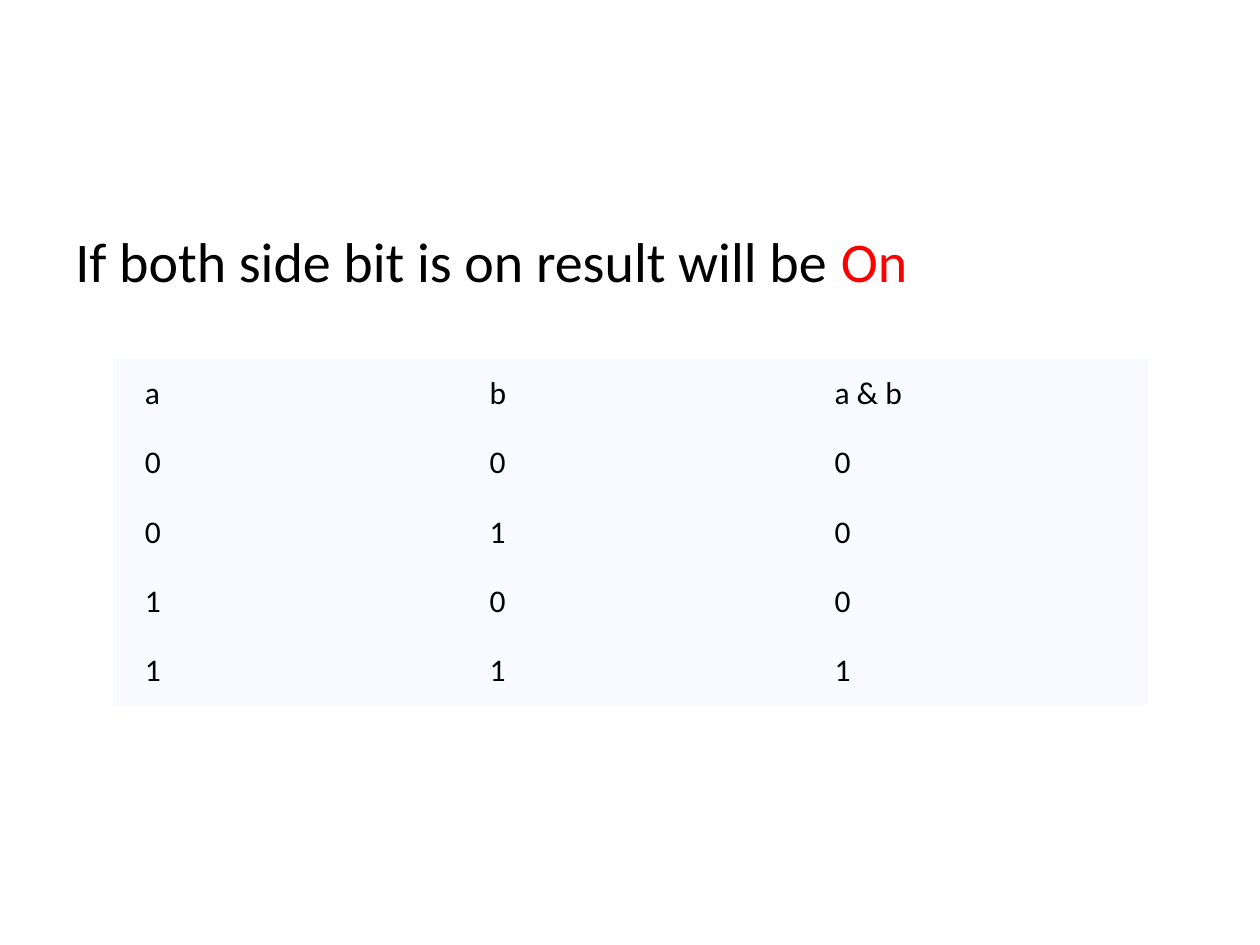
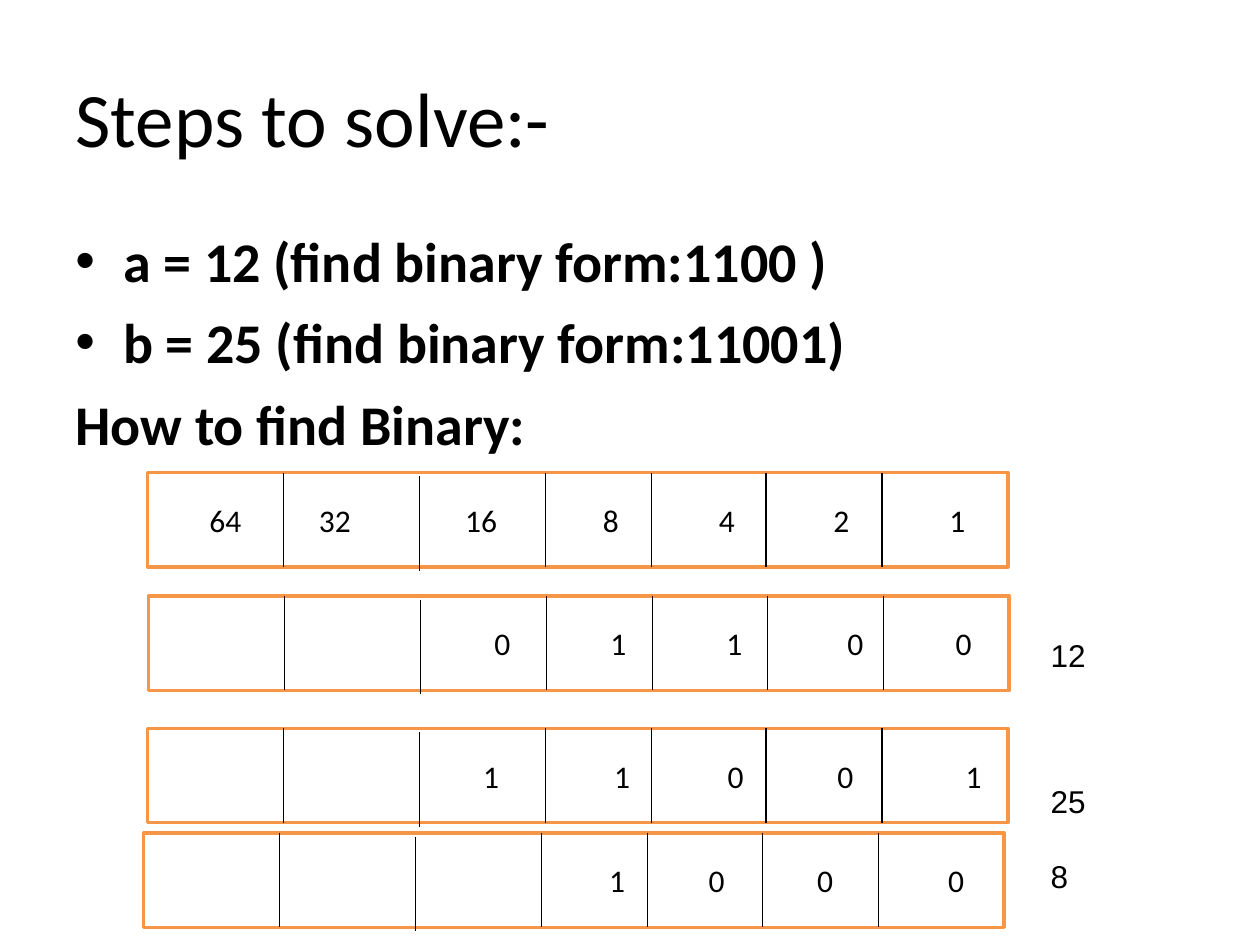
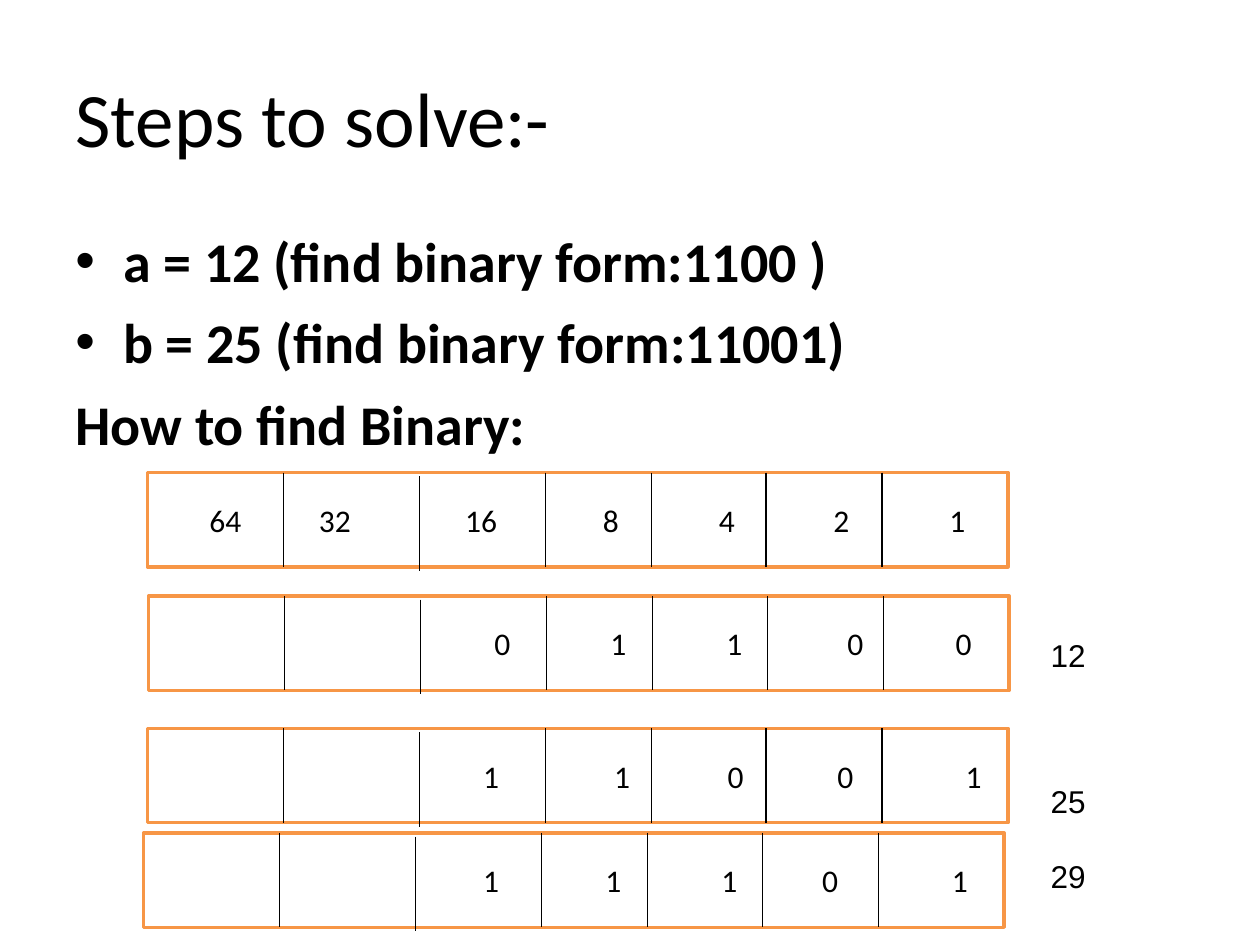
from lxml.etree import SubElement
from pptx import Presentation
from pptx.dml.color import RGBColor
from pptx.enum.shapes import MSO_CONNECTOR, MSO_SHAPE
from pptx.enum.text import MSO_ANCHOR, PP_ALIGN
from pptx.oxml.ns import qn
from pptx.util import Inches, Pt

BLACK, WHITE, RED = "000000", "FFFFFF", "FF0000"
ORANGE, PALE = "F79646", "F8FAFF"
PLAIN_GRID = "{2D5ABB26-0587-4C30-8999-92F81FD0307C}"
TRUTH = ["a", "b", "a & b"], "000", "010", "100", "111"
WIDTH, HEIGHT, INSET = 6.83, 0.75, 0.1
CUTS = [(1.08, 0), (2.16, 0.03), (3.16, 0), (4, 0), (4.91, 0), (5.83, 0)]

WEIGHTS = [("64", 1.79), ("32", 2.66), ("16", 3.82), ("8", 4.85),
           ("4", 5.77), ("2", 6.68), ("1", 7.6)]
TWELVE = [("0", 3.99), ("1", 4.91), ("1", 5.83), ("0", 6.79), ("0", 7.65)]
TWENTY_FIVE = [("1", 3.9), ("1", 4.94), ("0", 5.84), ("0", 6.71), ("1", 7.73)]
AND_BITS = [("1", 4.9), ("0", 5.69), ("0", 6.55), ("0", 7.59)]
OR_BITS = [("1", 3.9), ("1", 4.87), ("1", 5.79), ("0", 6.59), ("1", 7.62)]


def paint(fmt, color):
    """Give a fill or font colour from a hex string."""
    fmt.rgb = RGBColor.from_string(color)


def write(para, text, size=18, font="Calibri", color=BLACK, bold=False,
          before=0, align=PP_ALIGN.LEFT):
    """Add a formatted run to a paragraph."""
    para.alignment = align
    para.space_before = Pt(before)
    run = para.add_run()
    run.text = text
    run.font.size, run.font.name, run.font.bold = Pt(size), font, bold
    paint(run.font.color, color)


def add_box(slide, left, top, width, height, wrap=True):
    """Add a text box and return its frame."""
    box = slide.shapes.add_textbox(*map(Inches, (left, top, width, height)))
    box.text_frame.word_wrap = wrap
    return box.text_frame


def add_bullet(para):
    """Give a paragraph a hanging round bullet."""
    props = para._p.get_or_add_pPr()
    props.set("marL", str(Inches(0.38)))
    props.set("indent", str(-Inches(0.38)))
    SubElement(props, qn("a:buFont"), typeface="Arial")
    SubElement(props, qn("a:buChar"), char="•")


def add_tabs(para, stops):
    """Set centred tab stops, in inches from the text edge."""
    tabs = SubElement(para._p.get_or_add_pPr(), qn("a:tabLst"))
    for stop in stops:
        SubElement(tabs, qn("a:tab"), pos=str(Inches(stop)), algn="ctr")


def add_line(slide, x, top, bottom):
    """Draw a thin upright line."""
    line = slide.shapes.add_connector(
        MSO_CONNECTOR.STRAIGHT, *map(Inches, (x, top, x, bottom)))
    line.line.width = Pt(0.75)
    paint(line.line.color, BLACK)
    SubElement(line._element.spPr, qn("a:effectLst"))


def add_bits(slide, left, top, bits):
    """Draw a row of bit cells with each digit on its own tab stop."""
    bar = slide.shapes.add_shape(
        MSO_SHAPE.RECTANGLE, *map(Inches, (left, top, WIDTH, HEIGHT)))
    bar.shadow.inherit = False
    bar.fill.solid()
    paint(bar.fill.fore_color, WHITE)
    paint(bar.line.color, ORANGE)
    bar.line.width = Pt(2)
    bar.text_frame.vertical_anchor = MSO_ANCHOR.MIDDLE
    para = bar.text_frame.paragraphs[0]
    add_tabs(para, [x - left - INSET for _, x in bits])
    write(para, "".join("\t" + digit for digit, _ in bits))
    for step, drop in CUTS:
        add_line(slide, left + step, top + drop, top + drop + HEIGHT)


def add_truth(slide):
    """Add the truth table."""
    frame = slide.shapes.add_table(
        len(TRUTH), 3, *map(Inches, (0.9, 2.85, 8.21, 2.75)))
    table = frame.table
    table.first_row = table.horz_banding = False
    table._tbl.tblPr.find(qn("a:tableStyleId")).text = PLAIN_GRID
    for r, row in enumerate(TRUTH):
        for c, text in enumerate(row):
            cell = table.cell(r, c)
            cell.margin_left = cell.margin_right = Inches(0.25)
            cell.vertical_anchor = MSO_ANCHOR.MIDDLE
            cell.fill.solid()
            paint(cell.fill.fore_color, PALE)
            write(cell.text_frame.paragraphs[0], text)


def add_rule(deck):
    """Build the slide with the rule and its table."""
    slide = deck.slides.add_slide(deck.slide_layouts[6])
    para = add_box(slide, 0.5, 1.75, 9, 0.75).paragraphs[0]
    write(para, "If both side bit is on result will be ", size=32)
    write(para, "On", size=32, color=RED)
    add_truth(slide)


def add_steps(deck, result, bits):
    """Build a slide that works out one result bit by bit."""
    slide = deck.slides.add_slide(deck.slide_layouts[5])
    title = slide.shapes.title
    title.left, title.top, title.width, title.height = map(
        Inches, (0.5, 0.3, 9, 1.25))
    title.text_frame.vertical_anchor = MSO_ANCHOR.MIDDLE
    write(title.text_frame.paragraphs[0], "Steps to solve:-", size=44)

    body = add_box(slide, 0.5, 1.75, 9, 4.95)
    lines = [("a = 12 (find binary form:1100 )", True),
             ("b = 25 (find binary form:11001)", True),
             ("How to find Binary:", False)]
    for i, (text, dot) in enumerate(lines):
        para = body.add_paragraph() if i else body.paragraphs[0]
        if dot:
            add_bullet(para)
        write(para, text, size=32, bold=True, before=8 if i else 0)

    rows = [(1.17, 3.75, WEIGHTS), (1.18, 4.73, TWELVE),
            (1.17, 5.78, TWENTY_FIVE), (1.14, 6.61, bits)]
    for row in rows:
        add_bits(slide, *row)

    sums = add_box(slide, 8.24, 5, 0.48, 2.5, wrap=False)
    for i, (text, gap) in enumerate([("12", 0), ("25", 62), (result, 21)]):
        para = sums.add_paragraph() if i else sums.paragraphs[0]
        write(para, text, font="Arial", before=gap)


def main():
    """Build and save the deck."""
    deck = Presentation()
    deck.slide_width, deck.slide_height = Inches(10), Inches(7.5)
    add_rule(deck)
    add_steps(deck, "8", AND_BITS)
    add_steps(deck, "29", OR_BITS)
    deck.save("out.pptx")


if __name__ == "__main__":
    main()
